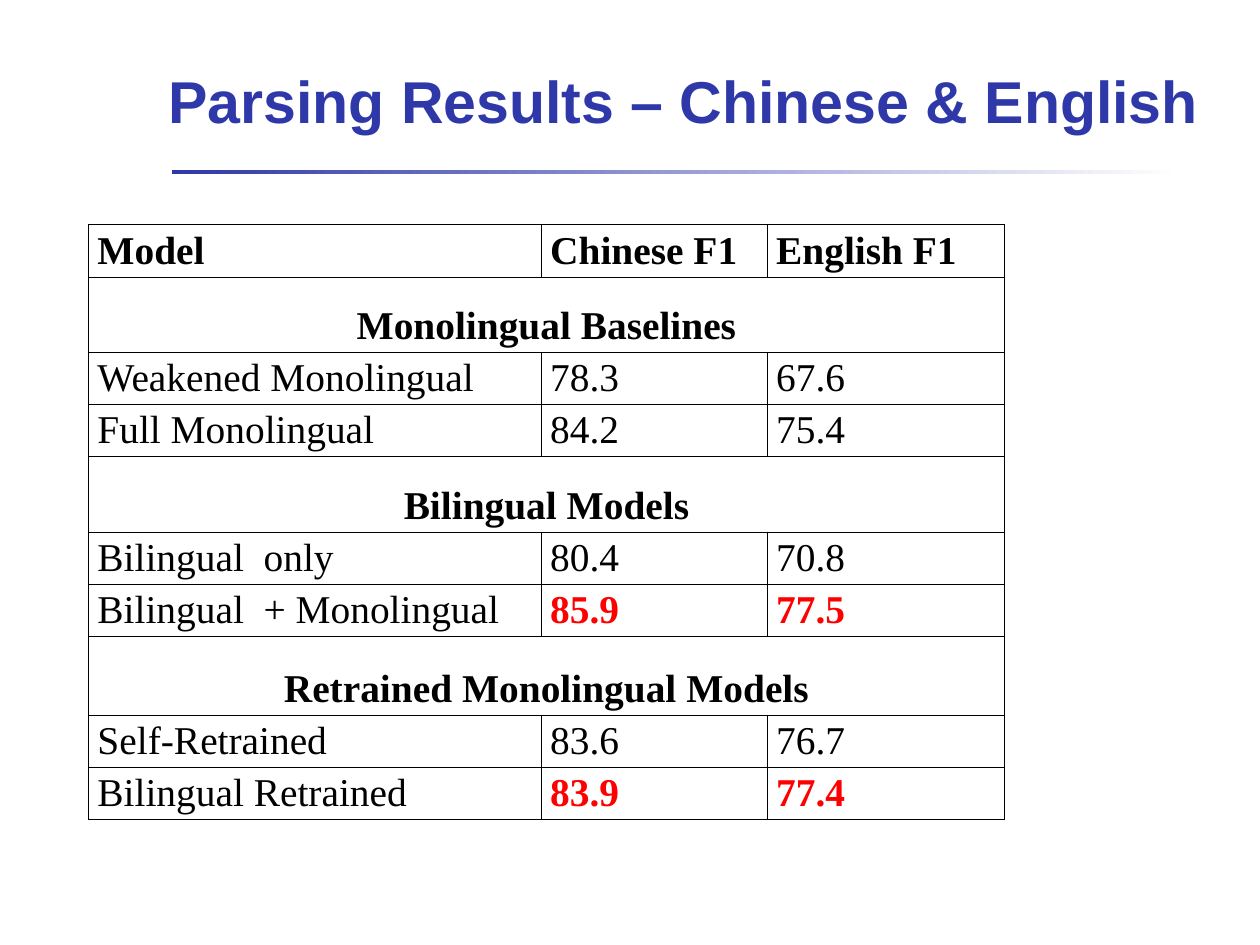
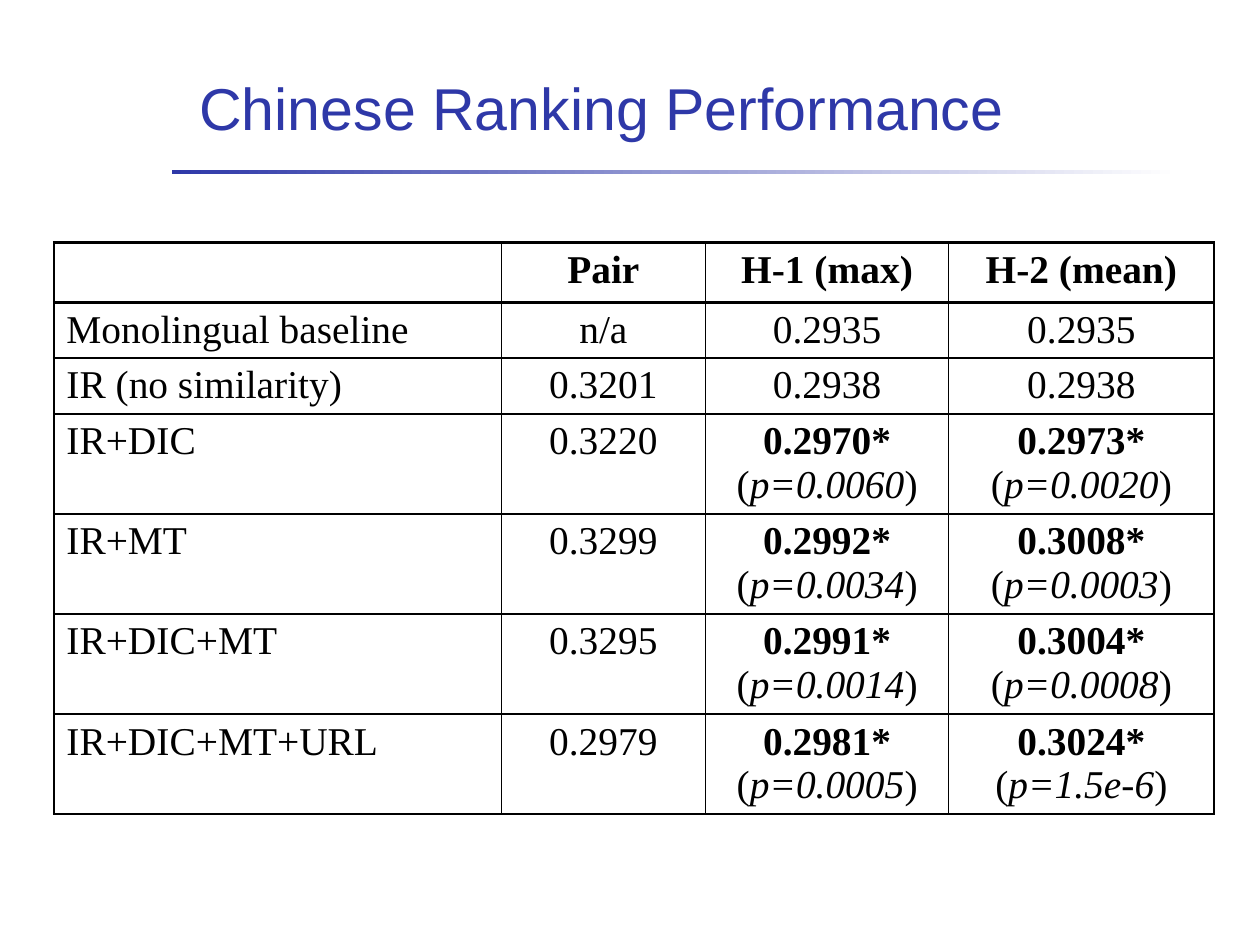
import pptx
import pptx.util
import pptx.dml.color
import pptx.enum.shapes
import pptx.enum.text
from dataclasses import dataclass
from lxml import etree
from pptx.oxml.ns import qn

Inches = pptx.util.Inches
Pt = pptx.util.Pt
Align = pptx.enum.text.PP_ALIGN
Anchor = pptx.enum.text.MSO_ANCHOR


@dataclass(frozen=True)
class Theme:
    accent: str = "2E38A8"
    paper: str = "FFFFFF"
    ink: str = "000000"
    best: str = "FF0000"
    title_font: str = "Arial"
    table_font: str = "Times New Roman"
    title_size: int = 48
    table_size: int = 32
    table_leading: float = 35.2
    thin: float = 1
    thick: float = 2.25


THEME = Theme()

# Content: one-item rows are section headings
PARSING_TITLE = "Parsing Results – Chinese & English"
PARSING_ROWS = [
    ("Model", "Chinese F1", "English F1"),
    ("Monolingual Baselines",),
    ("Weakened Monolingual", "78.3", "67.6"),
    ("Full Monolingual", "84.2", "75.4"),
    ("Bilingual Models",),
    ("Bilingual  only", "80.4", "70.8"),
    ("Bilingual  + Monolingual", "85.9", "77.5"),
    ("Retrained Monolingual Models",),
    ("Self-Retrained", "83.6", "76.7"),
    ("Bilingual Retrained", "83.9", "77.4"),
]
BEST_MODELS = {"Bilingual  + Monolingual", "Bilingual Retrained"}
PARSING_COLUMNS = [5.11, 2.55, 2.68]
SECTION_HEIGHTS = {"Retrained Monolingual Models": 0.89}

# Content: pairs hold a score and its significance
RANKING_TITLE = "Chinese Ranking Performance"
RANKING_ROWS = [
    ("", "Pair", "H-1 (max)", "H-2 (mean)"),
    ("Monolingual baseline", "n/a", "0.2935", "0.2935"),
    ("IR (no similarity)", "0.3201", "0.2938", "0.2938"),
    ("IR+DIC", "0.3220", ("0.2970*", "p=0.0060"), ("0.2973*", "p=0.0020")),
    ("IR+MT", "0.3299", ("0.2992*", "p=0.0034"), ("0.3008*", "p=0.0003")),
    ("IR+DIC+MT", "0.3295", ("0.2991*", "p=0.0014"), ("0.3004*", "p=0.0008")),
    ("IR+DIC+MT+URL", "0.2979", ("0.2981*", "p=0.0005"), ("0.3024*", "p=1.5e-6")),
]
RANKING_COLUMNS = [5.05, 2.3, 2.75, 2.99]


def rgb(code):
    return pptx.dml.color.RGBColor.from_string(code)


def style(font, name, size, color, bold=False):
    font.name, font.size, font.bold = name, Pt(size), bold
    font.color.rgb = rgb(color)


def set_margins(target, across, down):
    target.margin_left = target.margin_right = Inches(across)
    target.margin_top = target.margin_bottom = Inches(down)


# Shared title and fading rule
def add_titled_page(deck, title, place, bold):
    page = deck.slides.add_slide(deck.slide_layouts[6])
    rule = page.shapes.add_shape(
        pptx.enum.shapes.MSO_SHAPE.RECTANGLE,
        Inches(1.94), Inches(1.92), Inches(11.37), Inches(0.05))
    rule.shadow.inherit = False
    rule.line.fill.background()
    rule.fill.gradient()
    rule.fill.gradient_angle = 0
    for stop, color in zip(rule.fill.gradient_stops, (THEME.accent, THEME.paper)):
        stop.color.rgb = rgb(color)

    box = page.shapes.add_textbox(*map(Inches, place))
    frame = box.text_frame
    frame.word_wrap = True
    frame.vertical_anchor = Anchor.MIDDLE
    set_margins(frame, 0.14, 0.07)
    para = frame.paragraphs[0]
    para.text = title
    style(para.font, THEME.title_font, THEME.title_size, THEME.accent, bold)
    return page


# Shared table parts
def add_grid(page, left, top, columns, heights):
    frame = page.shapes.add_table(
        len(heights), len(columns), Inches(left), Inches(top),
        Inches(sum(columns)), Inches(sum(heights)))
    table = frame.table
    table.first_row = table.horz_banding = False
    for column, width in zip(table.columns, columns):
        column.width = Inches(width)
    for row, height in zip(table.rows, heights):
        row.height = Inches(height)
    return table


def set_borders(cell, left, right, top, bottom):
    properties = cell._tc.get_or_add_tcPr()
    sides = zip(("a:lnL", "a:lnR", "a:lnT", "a:lnB"), (left, right, top, bottom))
    for position, (tag, width) in enumerate(sides):
        line = etree.Element(qn(tag), w=str(int(Pt(width))))
        fill = etree.SubElement(line, qn("a:solidFill"))
        etree.SubElement(fill, qn("a:srgbClr"), val=THEME.ink)
        properties.insert(position, line)


def write_cell(cell, content, align, bold=False, color=THEME.ink):
    para = cell.text_frame.paragraphs[0]
    para.alignment = align
    para.line_spacing = Pt(THEME.table_leading)
    style(para.font, THEME.table_font, THEME.table_size, color, bold)
    if isinstance(content, str):
        para.text = content
        return
    score, significance = content
    for text, strong, slanted in ((score, True, False), (" (", False, False),
                                  (significance, False, True), (")", False, False)):
        span = para.add_run()
        span.text = text
        style(span.font, THEME.table_font, THEME.table_size, color, strong)
        span.font.italic = slanted


# Slide 1: parsing scores in sections
def build_parsing(deck):
    page = add_titled_page(deck, PARSING_TITLE, (1.76, 0.24, 12.34, 1.78), True)
    heights = [SECTION_HEIGHTS.get(row[0], 0.85) if len(row) == 1 else 0.59
               for row in PARSING_ROWS]
    table = add_grid(page, 1, 2.54, PARSING_COLUMNS, heights)
    for r, row in enumerate(PARSING_ROWS):
        for c in range(len(PARSING_COLUMNS)):
            cell = table.cell(r, c)
            cell.fill.solid()
            cell.fill.fore_color.rgb = rgb(THEME.paper)
            set_borders(cell, *[THEME.thin] * 4)
        if len(row) == 1:
            heading = table.cell(r, 0)
            heading.merge(table.cell(r, len(PARSING_COLUMNS) - 1))
            heading.vertical_anchor = Anchor.BOTTOM
            write_cell(heading, row[0], Align.CENTER, bold=True)
            continue
        for c, content in enumerate(row):
            best = c > 0 and row[0] in BEST_MODELS
            write_cell(table.cell(r, c), content, Align.LEFT, bold=best or r == 0,
                       color=THEME.best if best else THEME.ink)


# Slide 2: ranking scores with significance
def build_ranking(deck):
    page = add_titled_page(deck, RANKING_TITLE, (2.11, 0.5, 11.17, 1.42), False)
    heights = [1.13 if isinstance(row[-1], tuple) else 0.63 for row in RANKING_ROWS]
    table = add_grid(page, 0.61, 2.74, RANKING_COLUMNS, heights)
    last = len(RANKING_COLUMNS) - 1
    for r, row in enumerate(RANKING_ROWS):
        for c, content in enumerate(row):
            cell = table.cell(r, c)
            cell.fill.background()
            set_margins(cell, 0.14, 0.07)
            set_borders(cell, THEME.thick if c == 0 else THEME.thin,
                        THEME.thick if c == last else THEME.thin,
                        THEME.thick, THEME.thick)
            write_cell(cell, content, Align.CENTER if c else Align.LEFT, bold=r == 0)


def main():
    deck = pptx.Presentation()
    deck.slide_width, deck.slide_height = Inches(14.22), Inches(10.67)
    build_parsing(deck)
    build_ranking(deck)
    deck.save("out.pptx")


if __name__ == "__main__":
    main()
